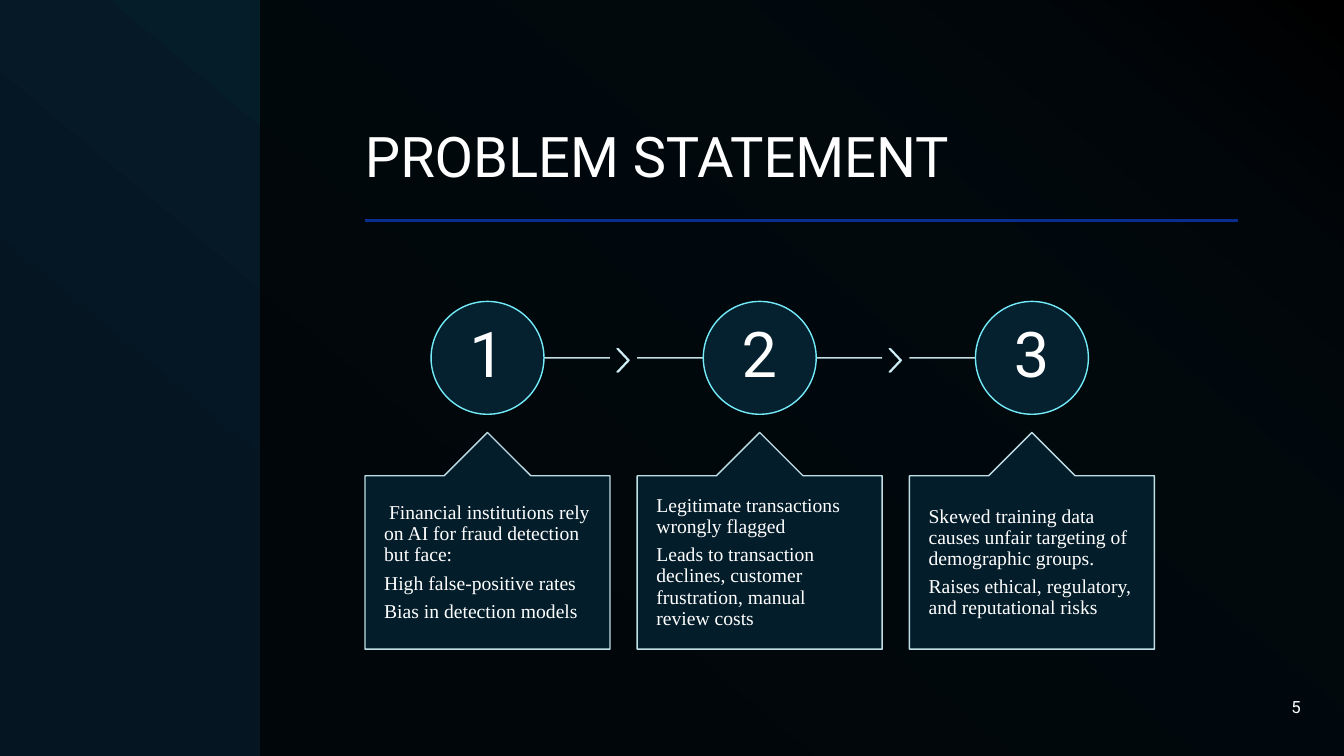
"""Builds the problem statement slide: three numbered steps with callouts."""
import lxml.etree
import pptx
import pptx.dml.color
import pptx.enum.shapes
import pptx.enum.text
import pptx.oxml
import pptx.oxml.ns
import pptx.util

TITLE = "PROBLEM STATEMENT"
PAGE = "5"
STEPS = [
    ("1", [" Financial institutions rely on AI for fraud detection but face:",
           "High false-positive rates", "Bias in detection models"]),
    ("2", ["Legitimate transactions wrongly flagged",
           "Leads to transaction declines, customer frustration, manual review costs"]),
    ("3", ["Skewed training data causes unfair targeting of demographic groups.",
           "Raises ethical, regulatory, and reputational risks"]),
]
COLORS = {"black": "000000", "panel": "05202E", "ring": "73EBF9", "pale": "D5F7FD",
          "rule": "0A2E90", "white": "FFFFFF"}
BACKGROUND = [(0, "000000"), (14, "051522"), (29, "05202E"), (81, "051522"), (100, "051522")]
HEAD, BODY = "Roboto", "Times New Roman"

W, H = 13.33, 7.5
LEFT, COL_W, GAP = 3.62, 2.43, 0.27
RULE_Y, RULE_END = 2.19, 12.28
CIRCLE, AXIS_Y = 1.12, 3.55
CARD_TOP, CARD_H, TIP = 4.29, 2.15, 0.43

SHAPE = pptx.enum.shapes.MSO_SHAPE
ALIGN = pptx.enum.text.PP_ALIGN
ANCHOR = pptx.enum.text.MSO_ANCHOR
qn = pptx.oxml.ns.qn
inch = pptx.util.Inches


def rgb(name):
    return pptx.dml.color.RGBColor.from_string(COLORS[name])


def paint(fmt, name, alpha=100):
    fmt.solid()
    fmt.fore_color.rgb = rgb(name)
    if alpha < 100:
        clr = fmt._xPr.find(qn("a:solidFill"))[0]
        lxml.etree.SubElement(clr, qn("a:alpha"), val=str(alpha * 1000))


def add_shape(s, kind, box, fill, line=None, alpha=100, line_alpha=100):
    sp = s.shapes.add_shape(kind, *map(inch, box))
    sp.shadow.inherit = False
    paint(sp.fill, fill, alpha)
    if line:
        sp.line.width = pptx.util.Pt(1)
        paint(sp.line.fill, line, line_alpha)
    else:
        sp.line.fill.background()
    return sp


def add_line(s, x1, x2, y, color, width, alpha=100):
    cn = s.shapes.add_connector(pptx.enum.shapes.MSO_CONNECTOR.STRAIGHT,
                                inch(x1), inch(y), inch(x2), inch(y))
    cn.line.width = pptx.util.Pt(width)
    paint(cn.line.fill, color, alpha)
    lxml.etree.SubElement(cn._element.spPr, qn("a:effectLst"))


def write(sp, lines, size, font, align=ALIGN.LEFT, anchor=ANCHOR.MIDDLE,
          inset=(0.1, 0.05, 0.1, 0.05), after=0, spacing=0.9):
    tf = sp.text_frame
    tf.word_wrap = True
    tf.auto_size = pptx.enum.text.MSO_AUTO_SIZE.NONE
    tf.vertical_anchor = anchor
    tf.margin_left, tf.margin_top, tf.margin_right, tf.margin_bottom = map(inch, inset)
    for i, line in enumerate(lines):
        p = tf.add_paragraph() if i else tf.paragraphs[0]
        p.alignment, p.line_spacing = align, spacing
        p.space_before, p.space_after = pptx.util.Pt(0), pptx.util.Pt(after)
        r = p.add_run()
        r.text = line
        r.font.size, r.font.name = pptx.util.Pt(size), font
        r.font.color.rgb = rgb("white")


def add_text(s, box, lines, size, font, **style):
    write(s.shapes.add_textbox(*map(inch, box)), lines, size, font, **style)


def set_background(s):
    fill = s.background.fill
    fill.gradient()
    grad = s._element.find(".//" + qn("a:gradFill"))
    stops = grad.find(qn("a:gsLst"))
    for gs in list(stops):
        stops.remove(gs)
    for pos, color in BACKGROUND:
        gs = lxml.etree.SubElement(stops, qn("a:gs"), pos=str(pos * 1000))
        lxml.etree.SubElement(gs, qn("a:srgbClr"), val=color)
    fill.gradient_angle = 360 - 130


def add_step(s, i, number, lines):
    x = LEFT + i * (COL_W + GAP)
    mid = x + COL_W / 2
    last = i == len(STEPS) - 1
    add_line(s, x if i else mid, mid if last else x + COL_W, AXIS_Y, "pale", 1, 90)
    if not last:
        sp = add_shape(s, SHAPE.CHEVRON, (x + COL_W + 0.07, 3.46, 0.12, 0.23),
                       "pale", "pale", 90, 90)
        sp.adjustments[0] = 0.9
    box = (mid - CIRCLE / 2, AXIS_Y - CIRCLE / 2, CIRCLE, CIRCLE)
    add_shape(s, SHAPE.OVAL, box, "panel", "ring")
    add_text(s, (mid - 0.4, AXIS_Y - 0.4, 0.79, 0.79), [number], 45, HEAD,
             align=ALIGN.CENTER, inset=(0.04,) * 4)
    sp = add_shape(s, SHAPE.UP_ARROW_CALLOUT, (x, CARD_TOP, COL_W, CARD_H),
                   "panel", "pale", 90, 90)
    for k, value in enumerate((0.5, 0.2, 0.2, 1)):
        sp.adjustments[k] = value
    add_text(s, (x, CARD_TOP + TIP, COL_W, CARD_H - TIP), lines, 14, BODY,
             inset=(0.19, 0.18, 0.19, 0.18), after=4.9)


def main():
    prs = pptx.Presentation()
    prs.slide_width, prs.slide_height = inch(W), inch(H)
    s = prs.slides.add_slide(prs.slide_layouts[5])
    set_background(s)
    panel = add_shape(s, SHAPE.RECTANGLE, (2.58, 0, W - 2.58, H), "black", alpha=70)
    title = s.shapes.title
    title._element.addprevious(panel._element)
    title.left, title.top, title.width, title.height = map(inch, (LEFT, 0.12, 8.12, 1.81))
    write(title, [TITLE], 40, HEAD, anchor=ANCHOR.BOTTOM, inset=(0, 0.05, 0.1, 0.05))
    add_line(s, LEFT, RULE_END, RULE_Y, "rule", 2)
    for i, (number, lines) in enumerate(STEPS):
        add_step(s, i, number, lines)
    add_text(s, (10, 6.81, 3, 0.4), [PAGE], 12, HEAD, align=ALIGN.RIGHT, spacing=1)
    prs.save("out.pptx")


if __name__ == "__main__":
    main()
